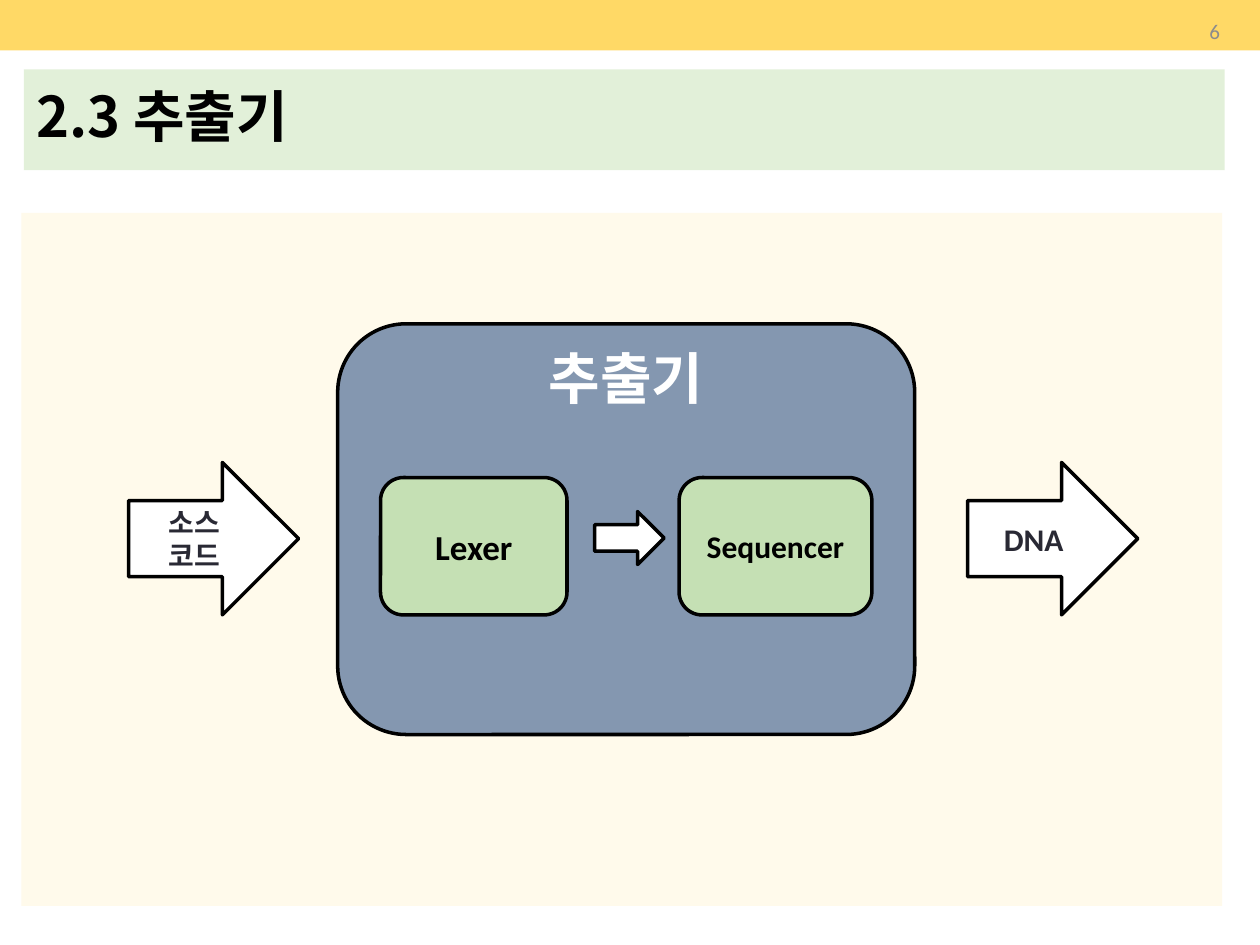
from lxml.etree import SubElement
from pptx import Presentation
from pptx.dml.color import RGBColor
from pptx.enum.shapes import MSO_SHAPE as Shape
from pptx.enum.text import MSO_ANCHOR as Anchor, PP_ALIGN as Align
from pptx.oxml.ns import qn
from pptx.util import Inches, Pt

BLACK = RGBColor(0x00, 0x00, 0x00)
WHITE = RGBColor(0xFF, 0xFF, 0xFF)
INK = RGBColor(0x29, 0x29, 0x34)
GRAY = RGBColor(0x8C, 0x8C, 0x8C)
YELLOW = RGBColor(0xFF, 0xD9, 0x66)
CREAM = RGBColor(0xFF, 0xFA, 0xEB)
MINT = RGBColor(0xE2, 0xF0, 0xD9)
GREEN = RGBColor(0xC5, 0xE0, 0xB4)
SLATE = RGBColor(0x84, 0x97, 0xB0)
KOREAN = "Noto Sans CJK KR"


class SlideBuilder:
    cell = Inches(0.1)
    font = "Calibri"
    outline = Pt(2)

    def __init__(self, presentation):
        self.slide = presentation.slides.add_slide(presentation.slide_layouts[6])

    def area(self, *cells):
        return [round(count * self.cell) for count in cells]

    def caption(self, shape, text, size, color, bold=True, align=Align.CENTER,
                anchor=Anchor.MIDDLE, font=None):
        frame = shape.text_frame
        frame.text = text
        frame.word_wrap = True
        frame.vertical_anchor = anchor
        paragraph = frame.paragraphs[0]
        paragraph.alignment = align
        run = paragraph.runs[0]
        run.font.size = Pt(size)
        run.font.bold = bold
        run.font.color.rgb = color
        run.font.name = font or self.font
        SubElement(run.font._element, qn("a:ea"), typeface=KOREAN)

    def panel(self, place, fill, kind=Shape.RECTANGLE):
        shape = self.slide.shapes.add_shape(kind, *self.area(*place))
        shape.shadow.inherit = False
        shape.fill.solid()
        shape.fill.fore_color.rgb = fill
        shape.line.fill.background()
        return shape

    def outlined(self, place, fill, kind):
        shape = self.panel(place, fill, kind)
        shape.line.color.rgb = BLACK
        shape.line.width = self.outline
        return shape

    def box(self, place, fill):
        return self.outlined(place, fill, Shape.ROUNDED_RECTANGLE)

    def arrow(self, place):
        return self.outlined(place, WHITE, Shape.RIGHT_ARROW)

    def label(self, place, text, size, color, **style):
        shape = self.slide.shapes.add_textbox(*self.area(*place))
        self.caption(shape, text, size, color, **style)


def main():
    presentation = Presentation()
    presentation.slide_width = Inches(10)
    presentation.slide_height = Inches(7.5)
    builder = SlideBuilder(presentation)

    builder.panel((-0.3, -0.3, 101.7, 4.3), YELLOW)
    builder.panel((1.7, 16.9, 95.3, 55), CREAM)
    title = builder.panel((1.9, 5.5, 95.3, 8), MINT)
    builder.caption(title, "2.3 추출기", 32, BLACK, align=Align.LEFT, font=KOREAN)
    title.text_frame.paragraphs[0].line_spacing = 0.9

    extractor = builder.box((26.8, 25.7, 45.8, 32.6), SLATE)
    builder.caption(extractor, "추출기", 32, WHITE, anchor=Anchor.TOP)
    extractor.text_frame.margin_top = 0

    for left, text, size in ((10.2, "소스 코드", 16), (76.8, "DNA", 18)):
        arrow = builder.arrow((left, 36.7, 13.5, 12.1))
        builder.caption(arrow, text, size, INK)

    for left, width, text, size in ((30.2, 14.8, "Lexer", 20),
                                    (53.9, 15.3, "Sequencer", 18)):
        stage = builder.box((left, 37.9, width, 10.9), GREEN)
        builder.caption(stage, text, size, BLACK)
    builder.arrow((47.2, 40.6, 5.5, 4.2))

    builder.label((75.3, 0.5, 22.5, 4), "6", 12, GRAY, bold=False, align=Align.RIGHT)
    presentation.save("out.pptx")


if __name__ == "__main__":
    main()
